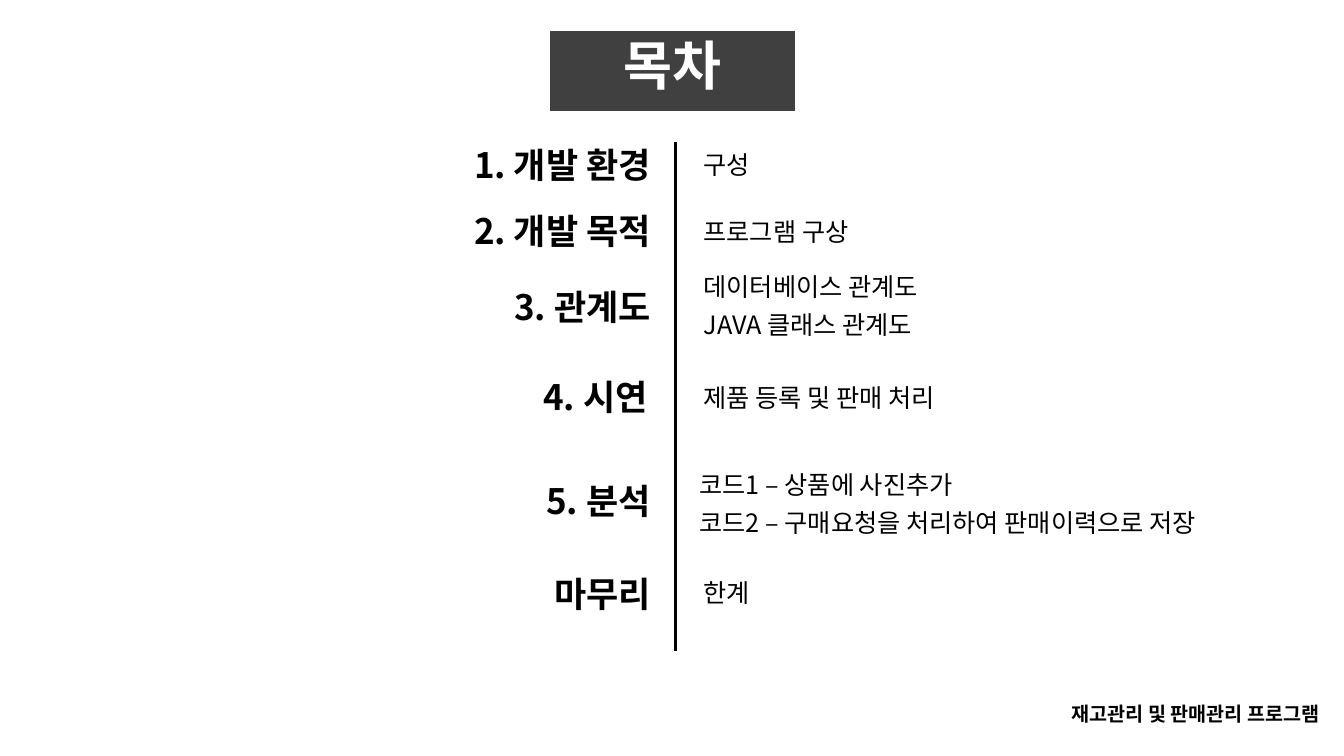
from lxml import etree
from pptx import Presentation
from pptx.dml.color import RGBColor
from pptx.enum import shapes, text
from pptx.oxml import ns
from pptx.util import Inches, Pt

BLACK = RGBColor(0x00, 0x00, 0x00)
WHITE = RGBColor(0xFF, 0xFF, 0xFF)
CHARCOAL = RGBColor(0x40, 0x40, 0x40)
FONT = "Noto Sans CJK KR"
LEFT, CENTER, RIGHT = text.PP_ALIGN.LEFT, text.PP_ALIGN.CENTER, text.PP_ALIGN.RIGHT

HEADING_RIGHT, HEADING_WIDTH, HEADING_HEIGHT = 6.55, 4.2, 0.61
ITEM_LEFT, ITEM_WIDTH, ITEM_HEIGHT = 6.88, 5.12, 0.37

# Heading, its top and right edge, left edge of the items, items with their tops
SECTIONS = [
    ("1. 개발 환경", 1.47, HEADING_RIGHT, ITEM_LEFT, [("구성", 1.52)]),
    ("2. 개발 목적", 2.13, HEADING_RIGHT, ITEM_LEFT, [("프로그램 구상", 2.18)]),
    ("3. 관계도", 2.88, HEADING_RIGHT, ITEM_LEFT,
     [("데이터베이스 관계도", 2.73), ("JAVA 클래스 관계도", 3.1)]),
    ("4. 시연", 3.77, 6.52, ITEM_LEFT, [("제품 등록 및 판매 처리", 3.83)]),
    ("5. 분석", 4.8, HEADING_RIGHT, 6.84,
     [("코드1 – 상품에 사진추가", 4.69),
      ("코드2 – 구매요청을 처리하여 판매이력으로 저장", 5.07)]),
    ("마무리", 5.73, HEADING_RIGHT, ITEM_LEFT, [("한계", 5.76)]),
]


def add_label(slide, box, words, size, align=LEFT, bold=False, color=BLACK):
    shape = slide.shapes.add_textbox(*map(Inches, box))
    frame = shape.text_frame
    frame.word_wrap = True
    frame.margin_top = frame.margin_bottom = 0
    paragraph = frame.paragraphs[0]
    paragraph.alignment = align
    paragraph.line_spacing = 0.9
    paragraph.space_before = Pt(10)
    run = paragraph.add_run()
    run.text = words
    font = run.font
    font.name, font.size, font.bold = FONT, Pt(size), bold
    font.color.rgb = color
    east_asian = etree.SubElement(run._r.get_or_add_rPr(), ns.qn("a:ea"))
    east_asian.set("typeface", FONT)


def add_title(slide, left, top, width, height):
    banner = slide.shapes.add_shape(
        shapes.MSO_SHAPE.RECTANGLE, *map(Inches, (left, top, width, height)))
    banner.shadow.inherit = False
    banner.fill.solid()
    banner.fill.fore_color.rgb = CHARCOAL
    banner.line.color.rgb = WHITE
    banner.line.width = Pt(1.7)
    add_label(slide, (left, top + 0.09, width, 0.61), "목차", 38, CENTER, True, WHITE)


def add_divider(slide, x, top, bottom):
    divider = slide.shapes.add_connector(
        shapes.MSO_CONNECTOR.STRAIGHT, *map(Inches, (x, top, x, bottom)))
    divider.line.color.rgb = BLACK
    divider.line.width = Pt(1.7)
    etree.SubElement(divider._element.spPr, ns.qn("a:effectLst"))


def add_section(slide, heading, top, right, item_left, items):
    """Place a heading left of the divider and its items right of it."""
    add_label(slide, (right - HEADING_WIDTH, top, HEADING_WIDTH, HEADING_HEIGHT),
              heading, 25, RIGHT, True)
    for words, item_top in items:
        add_label(slide, (item_left, item_top, ITEM_WIDTH, ITEM_HEIGHT), words, 18)


def main():
    presentation = Presentation()
    presentation.slide_width = Inches(13.33)
    presentation.slide_height = Inches(7.5)
    slide = presentation.slides.add_slide(presentation.slide_layouts[6])
    add_title(slide, 5.44, 0.3, 2.46, 0.81)
    add_divider(slide, 6.7, 1.41, 6.46)
    for section in SECTIONS:
        add_section(slide, *section)
    add_label(slide, (9.79, 6.99, 3.4, 0.33), "재고관리 및 판매관리 프로그램", 14, RIGHT, True)
    presentation.save("out.pptx")


if __name__ == "__main__":
    main()
